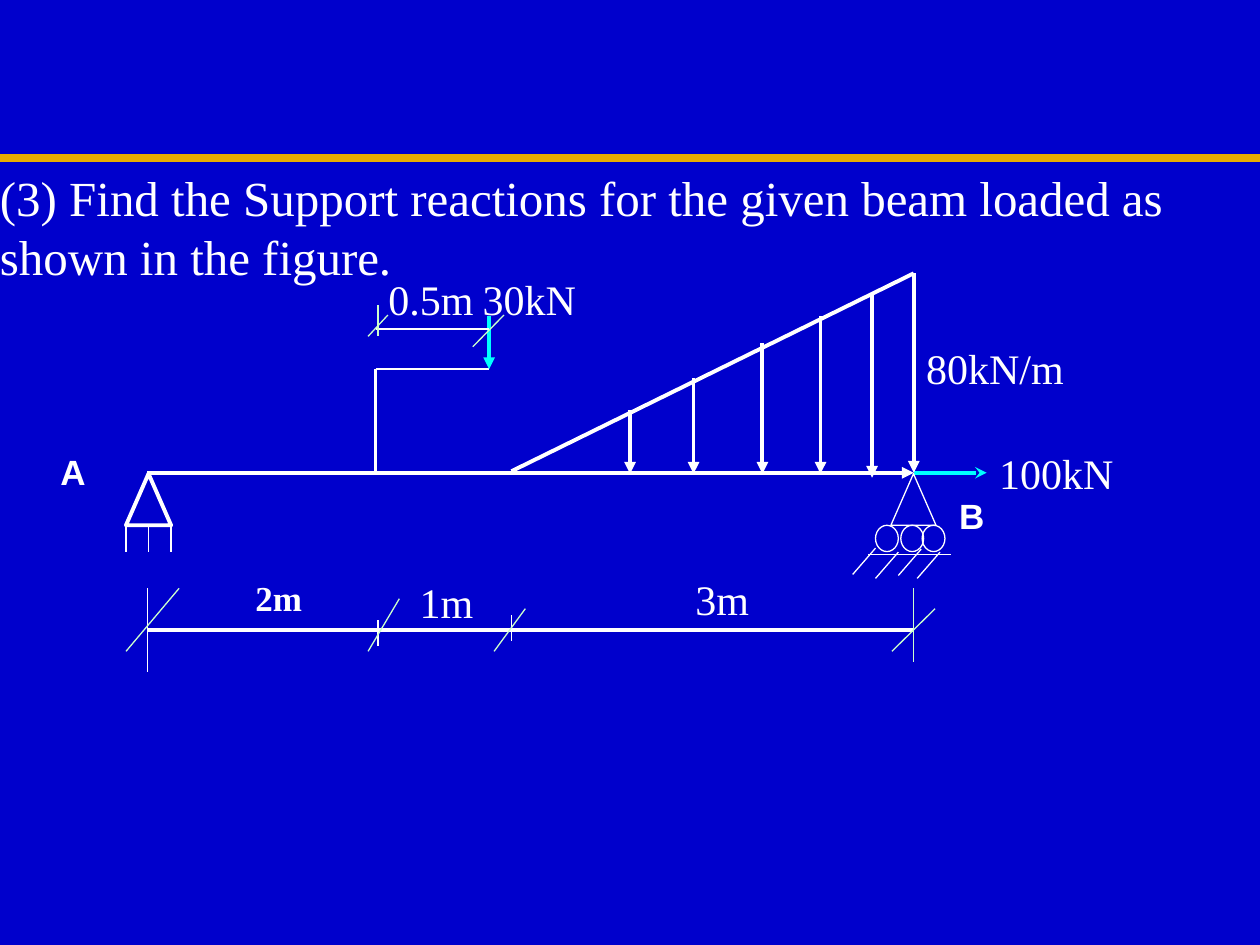
from typing import NamedTuple

from lxml import etree
from pptx import Presentation
from pptx.dml.color import RGBColor
from pptx.enum.shapes import MSO_CONNECTOR, MSO_SHAPE
from pptx.enum.text import MSO_AUTO_SIZE, PP_ALIGN
from pptx.oxml.ns import qn
from pptx.util import Cm, Pt

STRAIGHT = MSO_CONNECTOR.STRAIGHT
TRIANGLE, OVAL = MSO_SHAPE.ISOSCELES_TRIANGLE, MSO_SHAPE.OVAL
GROW, FIXED = MSO_AUTO_SIZE.SHAPE_TO_FIT_TEXT, MSO_AUTO_SIZE.NONE
LEFT, CENTER = PP_ALIGN.LEFT, PP_ALIGN.CENTER

BLUE = RGBColor(0x00, 0x00, 0xCC)
GOLD = RGBColor(0xE8, 0xAB, 0x00)
WHITE = RGBColor(0xFF, 0xFF, 0xFF)
CYAN = RGBColor(0x00, 0xFF, 0xFF)
MINT = RGBColor(0xCC, 0xFF, 0xCC)

THIN, THICK = 0.75, 2.25
BEAM_Y, DIM_Y = 9.53, 12.7
A_X, B_X, POST_X, FORCE_X, LOAD_X = 2.97, 18.42, 7.57, 9.86, 10.31
ARM_Y, LOAD_TOP = 7.44, 5.51
SUPPORT_W, SUPPORT_H, SUPPORT_Y = 0.91, 1.04, 9.55
FOOT_Y = SUPPORT_Y + SUPPORT_H
ROLLER_W, ROLLER_H = 0.46, 0.53

TIMES = {"name": "Times New Roman", "size": Pt(24)}
QUESTION = TIMES | {"size": Pt(28)}
BOLD_TIMES = TIMES | {"size": Pt(20), "bold": True}
BOLD_ARIAL = BOLD_TIMES | {"name": "Arial"}
PLAIN = {"alignment": LEFT}
CENTERED = {"alignment": CENTER, "space_before": Pt(12.5)}


class Line(NamedTuple):
    x1: float
    y1: float
    x2: float
    y2: float
    width: float = THIN
    color: RGBColor = WHITE
    tail: str = ""


class Outline(NamedTuple):
    kind: MSO_SHAPE
    x: float
    y: float
    w: float
    h: float
    width: float = THIN


class Label(NamedTuple):
    text: str
    x: float
    y: float
    w: float
    h: float
    font: dict = TIMES
    para: dict = PLAIN
    inset: tuple = (0, 0)
    fit: MSO_AUTO_SIZE = FIXED


PADDED = (0.25, 0.13)
QUESTION_LABEL = Label(
    "(3) Find the Support reactions for the given beam loaded as shown in the figure.",
    0, 3.38, 25.4, 2.36, QUESTION, fit=GROW)
LABELS = [
    QUESTION_LABEL,
    Label("80kN/m", B_X, 6.78, 3.91, 0.91, inset=PADDED),
    Label("100kN", 19.89, 8.89, 4.47, 1.35, inset=PADDED),
    Label("3m", 13.77, 11.43, 1.83, 1.57, inset=PADDED),
    Label("1m", 8.46, 11.63, 1.47, 1.04),
    Label("30kN", 9.73, 5.51, 2.39, 1.04),
    Label("0.5m", 7.83, 5.51, 1.88, 1.04),
    Label("2m", 4.45, 11.63, 2.34, 0.84, BOLD_TIMES, CENTERED, fit=GROW),
    Label("A", 0.84, 9.09, 1.27, 0.84, BOLD_ARIAL, CENTERED, fit=GROW),
    Label("B", B_X, 9.96, 2.34, 0.84, BOLD_ARIAL, CENTERED, fit=GROW),
]
OUTLINES = [
    Outline(TRIANGLE, 2.54, SUPPORT_Y, SUPPORT_W, SUPPORT_H, THICK),
    Outline(TRIANGLE, 17.96, SUPPORT_Y, SUPPORT_W, SUPPORT_H),
    *(Outline(OVAL, x, FOOT_Y, ROLLER_W, ROLLER_H) for x in (17.65, 18.16, 18.59)),
]
FRAME = [
    Line(0, 3.18, 25.48, 3.18, 4.5, GOLD),
    Line(A_X, BEAM_Y, B_X, BEAM_Y, THICK, tail="triangle"),
    Line(POST_X, BEAM_Y, POST_X, ARM_Y, THICK),
    Line(POST_X, ARM_Y, FORCE_X, ARM_Y),
    Line(FORCE_X, 6.38, FORCE_X, ARM_Y, THICK, CYAN, "triangle"),
    Line(B_X, BEAM_Y, 19.89, BEAM_Y, THICK, CYAN, "stealth"),
    Line(LOAD_X, 9.5, B_X, LOAD_TOP, THICK),
]
LOAD_ARROWS = [
    Line(x, top, x, bottom, THICK, tail="triangle")
    for x, top, bottom in [
        (12.7, 8.26, 9.55), (13.98, 7.62, 9.55), (15.37, 6.91, 9.55),
        (16.54, 6.38, 9.55), (17.58, 5.92, 9.63), (B_X, LOAD_TOP, BEAM_Y)]
]
GROUND = [
    Line(17.5, 11.18, 19.18, 11.18),
    *(Line(x, FOOT_Y, x, FOOT_Y + 0.53) for x in (2.54, 3, 3.45)),
    *(Line(x, y, x - 0.46, y + 0.53)
      for x, y in [(17.65, 11.05), (18.11, 11.13), (18.57, 11.07), (18.95, 11.13)]),
]
DIMENSIONS = [
    Line(A_X, DIM_Y, B_X, DIM_Y, THICK),
    Line(POST_X, 6.63, FORCE_X, 6.63),
    Line(A_X, 11.86, A_X, 13.54),
    Line(7.62, 12.5, 7.62, 13.03),
    Line(LOAD_X, 12.4, LOAD_X, 12.93),
    Line(B_X, 11.86, B_X, 13.34, color=MINT),
    Line(7.62, 6.15, 7.62, 6.78, color=MINT),
    Line(7.82, 6.35, 7.42, 6.78, color=MINT),
    Line(10.16, 6.35, 9.53, 6.99, color=MINT),
    *(Line(x1, y1, x2, 13.13, color=MINT)
      for x1, y1, x2 in [(3.61, 11.86, 2.54), (8.05, 12.07, 7.42),
                         (10.59, 12.27, 9.96), (18.85, 12.27, 17.98)]),
]


def apply(target, values: dict) -> None:
    for name, value in values.items():
        setattr(target, name, value)


def draw_line(s, line: Line) -> None:
    c = s.shapes.add_connector(
        STRAIGHT, Cm(line.x1), Cm(line.y1), Cm(line.x2), Cm(line.y2))
    c.line.width = Pt(line.width)
    c.line.color.rgb = line.color
    if line.tail:
        etree.SubElement(c.line._get_or_add_ln(), qn("a:tailEnd"), type=line.tail)
    etree.SubElement(c._element.spPr, qn("a:effectLst"))


def draw_outline(s, outline: Outline) -> None:
    sp = s.shapes.add_shape(
        outline.kind, Cm(outline.x), Cm(outline.y), Cm(outline.w), Cm(outline.h))
    sp.shadow.inherit = False
    sp.fill.background()
    sp.line.width = Pt(outline.width)
    sp.line.color.rgb = WHITE


def draw_label(s, label: Label) -> None:
    sp = s.shapes.add_textbox(Cm(label.x), Cm(label.y), Cm(label.w), Cm(label.h))
    tf = sp.text_frame
    side, edge = (Cm(v) for v in label.inset)
    apply(tf, {"word_wrap": True, "auto_size": label.fit,
               "margin_left": side, "margin_right": side,
               "margin_top": edge, "margin_bottom": edge})
    p = tf.paragraphs[0]
    apply(p, label.para)
    r = p.add_run()
    r.text = label.text
    apply(r.font, label.font)
    r.font.color.rgb = WHITE


def main() -> None:
    prs = Presentation()
    prs.slide_width, prs.slide_height = Cm(25.4), Cm(19.05)
    s = prs.slides.add_slide(prs.slide_layouts[6])
    s.background.fill.solid()
    s.background.fill.fore_color.rgb = BLUE
    for line in FRAME + LOAD_ARROWS + GROUND + DIMENSIONS:
        draw_line(s, line)
    for outline in OUTLINES:
        draw_outline(s, outline)
    for label in LABELS:
        draw_label(s, label)
    prs.save("out.pptx")


if __name__ == "__main__":
    main()
